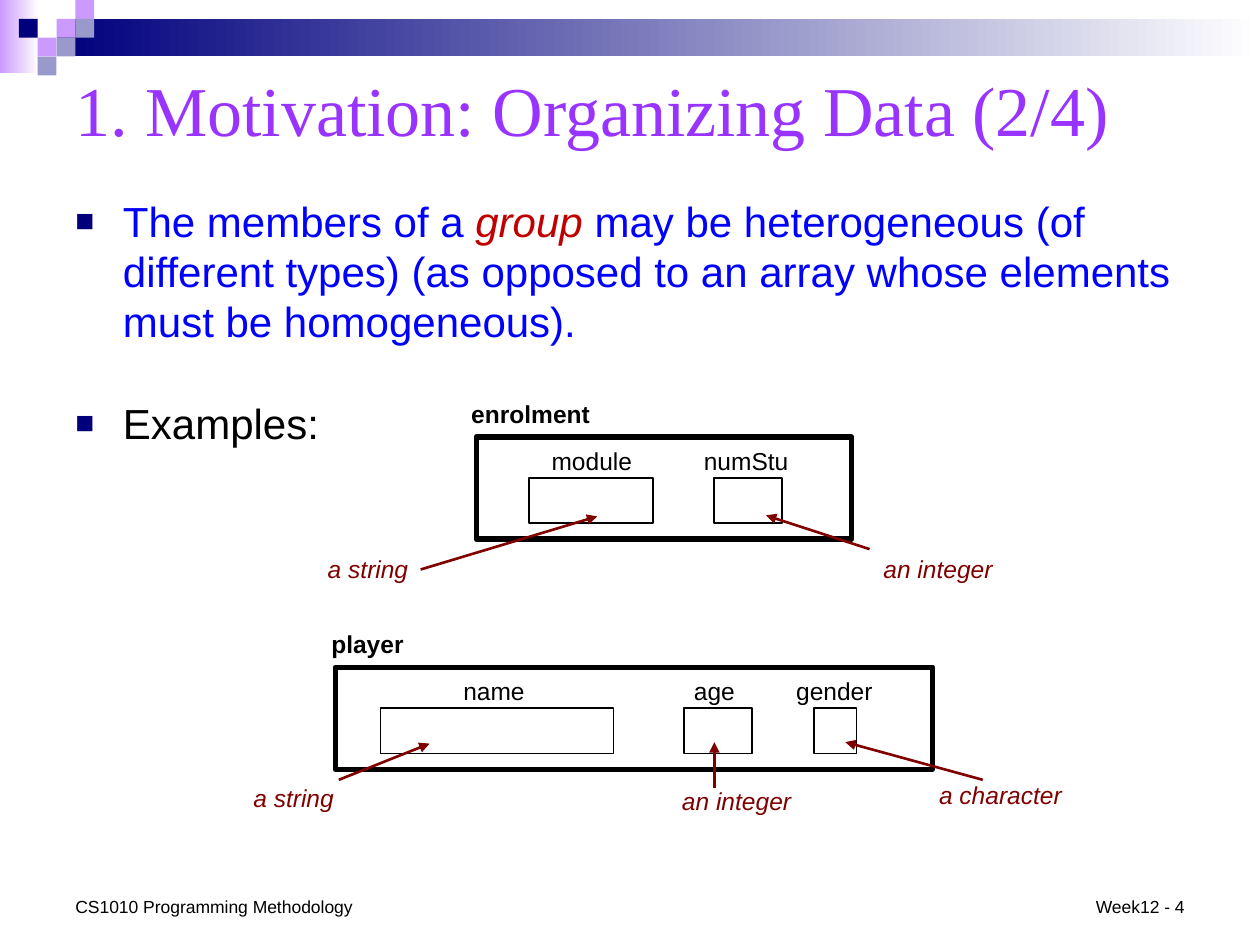
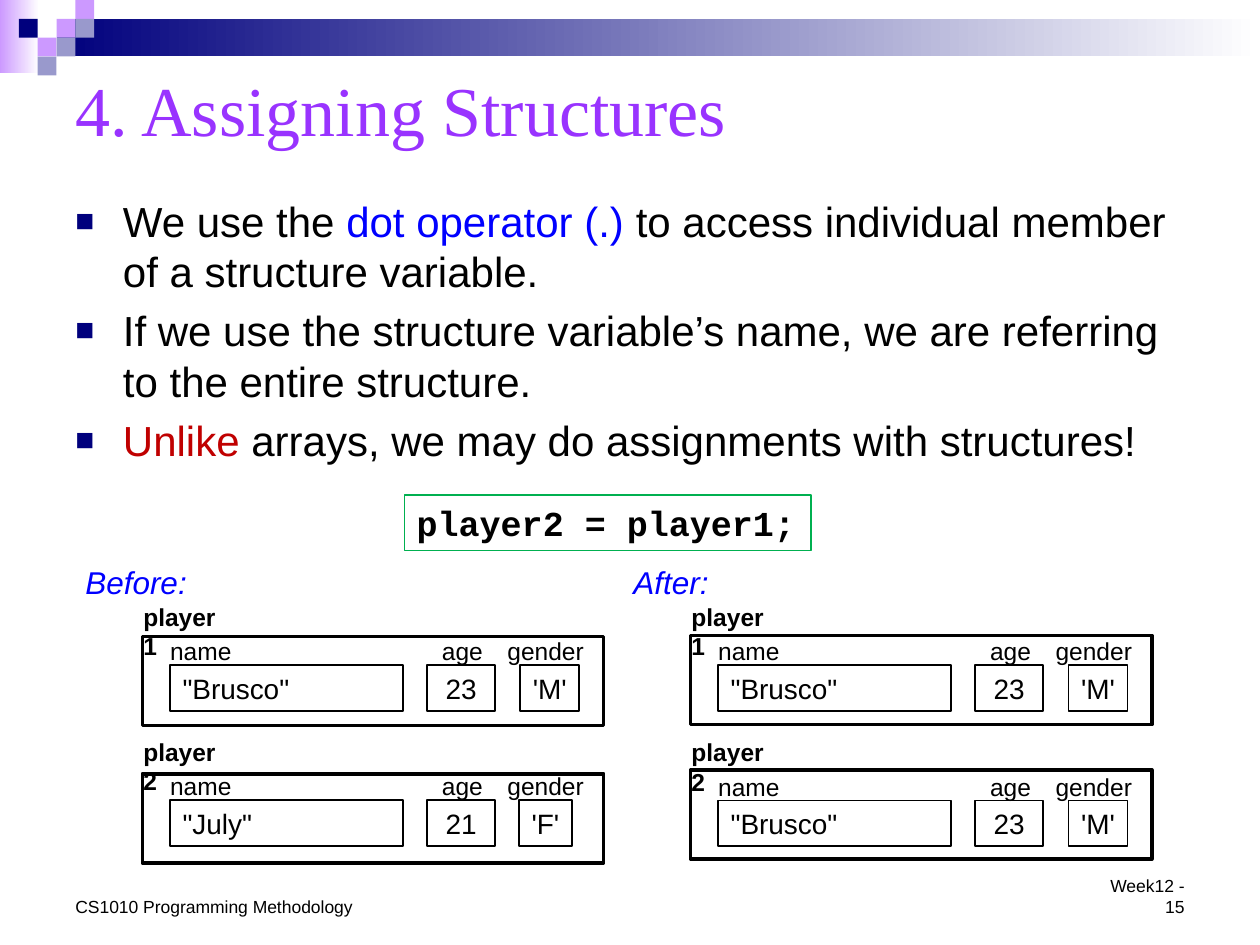
"""Build two lecture slides on grouping data into structures."""
from lxml import etree
from pptx import Presentation
from pptx.dml.color import RGBColor
from pptx.enum.shapes import MSO_CONNECTOR, MSO_SHAPE
from pptx.enum.text import MSO_ANCHOR, PP_ALIGN
from pptx.oxml.ns import qn
from pptx.util import Cm, Pt

RECT, STRAIGHT = MSO_SHAPE.RECTANGLE, MSO_CONNECTOR.STRAIGHT
LEFT, CENTER, RIGHT = PP_ALIGN.LEFT, PP_ALIGN.CENTER, PP_ALIGN.RIGHT
TOP, MIDDLE, BOTTOM = MSO_ANCHOR.TOP, MSO_ANCHOR.MIDDLE, MSO_ANCHOR.BOTTOM

BLACK, WHITE, BLUE, RED, MAROON = "000000", "FFFFFF", "0000FF", "C00000", "800000"
NAVY, LILAC, GREY_BLUE, PURPLE, GREEN = "00007D", "CC99FF", "9999CC", "9933FF", "00B050"

COURSE = "CS1010 Programming Methodology"
BANDS = [(0, 0, 0.79, 1.47, LILAC), (1.14, 0.38, 24.26, 0.76, NAVY)]
TILE = 0.38
TILES = [(3, 1, LILAC), (4, 0, LILAC), (4, 1, GREY_BLUE), (2, 2, LILAC),
         (1, 1, NAVY), (3, 2, GREY_BLUE), (2, 3, GREY_BLUE)]

MOTIVATION = [
    [("The members of a ", BLUE), ("group ", RED, True),
     ("may be heterogeneous (of different types) (as opposed to an array "
      "whose elements must be homogeneous).", BLUE)],
    [("Examples:", BLACK)],
]
ASSIGNING = [
    [("We use the ", BLACK), ("dot operator (.) ", BLUE),
     ("to access individual member of a structure variable.", BLACK)],
    [("If we use the structure variable’s name, we are referring to the entire structure.",
      BLACK)],
    [("Unlike ", RED), ("arrays, we may do assignments with structures!", BLACK)],
]

# member: label, label left, label width, box left, box width, value
EXAMPLES = [
    dict(title="enrolment", title_x=9.25, title_w=3.02, box_y=9.63, frame=(9.6, 7.57),
         members=[("module", 10.87, 2.15, 10.67, 2.49, ""),
                  ("numStu", 13.94, 2.39, 14.4, 1.37, "")]),
    dict(title="player", title_x=6.43, title_w=2.24, box_y=14.27, frame=(6.76, 12.04),
         members=[("name", 9.09, 1.76, 7.67, 4.7, ""),
                  ("age", 13.74, 1.36, 13.79, 1.37, ""),
                  ("gender", 15.8, 2.06, 16.41, 0.86, "")]),
]
# caption, left, top, width, arrow start, arrow end
CAPTIONS = [
    ("a string", 6.35, 11.05, 2.14, (8.48, 11.48), (12.04, 10.41)),
    ("an integer", 17.55, 11.05, 2.72, (17.53, 11.07), (15.44, 10.39)),
    ("a string", 4.85, 15.67, 2.14, (6.83, 15.72), (8.66, 14.99)),
    ("an integer", 13.49, 15.72, 2.72, (14.4, 15.88), (14.4, 14.96)),
    ("a character", 18.67, 15.6, 3.0, (19.81, 15.72), (17.04, 14.96)),
]

# variable, box top, frame rise, name, age, gender, gender box left and width
STATES = [
    ("Before:", 0, [("player1", 13.41, 0.58, '"Brusco"', "23", "'M'", 10.49, 1.19),
                    ("player2", 16.13, 0.53, '"July"', "21", "'F'", 10.46, 1.07)]),
    ("After:", 11.05, [("player1", 13.41, 0.6, '"Brusco"', "23", "'M'", 10.49, 1.19),
                       ("player2", 16.14, 0.62, '"Brusco"', "23", "'M'", 10.49, 1.19)]),
]


def rgb(color):
    """Turn a hex string into a colour."""
    return RGBColor.from_string(color)


def rect(s, x, y, w, h, fill=None, line=None, width=1.0, fade=False):
    """Draw a rectangle that is plain, outlined or fading to white."""
    sp = s.shapes.add_shape(RECT, Cm(x), Cm(y), Cm(w), Cm(h))
    sp.shadow.inherit = False
    if fade:
        sp.fill.gradient()
        sp.fill.gradient_angle = 0
        for stop, color in zip(sp.fill.gradient_stops, (fill, WHITE)):
            stop.color.rgb = rgb(color)
    elif fill:
        sp.fill.solid()
        sp.fill.fore_color.rgb = rgb(fill)
    else:
        sp.fill.background()
    if line:
        sp.line.color.rgb = rgb(line)
        sp.line.width = Pt(width)
    else:
        sp.line.fill.background()
    return sp


def add_bullet(p):
    """Give a paragraph a hanging square bullet."""
    pPr = p._p.get_or_add_pPr()
    pPr.set("marL", str(Cm(0.96)))
    pPr.set("indent", str(-Cm(0.96)))
    color = etree.SubElement(pPr, qn("a:buClr"))
    etree.SubElement(color, qn("a:srgbClr"), val=NAVY)
    etree.SubElement(pPr, qn("a:buSzPct"), val="75000")
    etree.SubElement(pPr, qn("a:buFont"), typeface="Arial")
    etree.SubElement(pPr, qn("a:buChar"), char="■")


def text(sp, content, size=14, color=BLACK, font="Arial", bold=False, italic=False,
         align=LEFT, anchor=TOP, wrap=True, bullet=False, gap=0):
    """Write a string, or paragraphs of (text, colour, italic) runs, in a shape."""
    paragraphs = [[(content, color, italic)]] if isinstance(content, str) else content
    tf = sp.text_frame
    tf.word_wrap, tf.vertical_anchor = wrap, anchor
    for i, runs in enumerate(paragraphs):
        p = tf.add_paragraph() if i else tf.paragraphs[0]
        if bullet:
            add_bullet(p)
        p.alignment = align
        if i and gap:
            p.space_before = Pt(gap)
        for words, run_color, *slant in runs:
            r = p.add_run()
            r.text = words
            r.font.name, r.font.size = font, Pt(size)
            r.font.bold, r.font.italic = bold, any(slant)
            r.font.color.rgb = rgb(run_color)


def label(s, content, x, y, w, h=0.86, **fmt):
    """Add a text box."""
    text(s.shapes.add_textbox(Cm(x), Cm(y), Cm(w), Cm(h)), content, **fmt)


def arrow(s, start, end):
    """Draw a maroon arrow."""
    c = s.shapes.add_connector(STRAIGHT, *(Cm(v) for v in start + end))
    c.line.color.rgb = rgb(MAROON)
    c.line.width = Pt(1.5)
    etree.SubElement(c.line._get_or_add_ln(), qn("a:tailEnd"), type="triangle")
    etree.SubElement(c._element.spPr, qn("a:effectLst"))


def record(s, title, title_x, title_w, box_y, frame, members, title_rise=1.72,
           frame_rise=0.82, label_rise=0.77, frame_h=2.06, frame_line=3):
    """Draw a structure variable: name, frame and labelled member boxes."""
    for name, label_x, label_w, box_x, box_w, value in members:
        sp = rect(s, box_x, box_y, box_w, 0.92, WHITE, BLACK)
        if value:
            is_name = name == "name"
            text(sp, value, size=16, align=LEFT if is_name else CENTER, wrap=is_name)
        label(s, name, label_x, box_y - label_rise, label_w)
    label(s, title, title_x, box_y - title_rise, title_w, bold=True)
    rect(s, frame[0], box_y - frame_rise, frame[1], frame_h, line=BLACK, width=frame_line)


def new_slide(prs, title, number, body, body_h, gap):
    """Add a slide with the shared bands, title, bullets and footer."""
    s = prs.slides.add_slide(prs.slide_layouts[6])
    for x, y, w, h, color in BANDS:
        rect(s, x, y, w, h, color, fade=True)
    for col, row, color in TILES:
        rect(s, col * TILE, row * TILE, TILE, TILE, color)
    label(s, title, 1.27, 1.07, 22.86, 2.24, size=40, color=PURPLE,
          font="Times New Roman", anchor=MIDDLE)
    label(s, body, 1.27, 3.81, 22.86, body_h, size=24, bullet=True, gap=gap)
    label(s, COURSE, 1.27, 17.93, 6.15, 0.69, size=10, anchor=BOTTOM)
    label(s, f"Week12 - {number}", 21.79, 17.93, 2.34, 0.69, size=10,
          align=RIGHT, anchor=BOTTOM)
    return s


def motivation_slide(prs):
    """Show two structures and the types of their members."""
    s = new_slide(prs, "1. Motivation: Organizing Data (2/4)", 4, MOTIVATION, 5.38, 29)
    for example in EXAMPLES:
        record(s, **example)
    for caption, x, y, w, start, end in CAPTIONS:
        arrow(s, start, end)
        label(s, caption, x, y, w, color=MAROON, italic=True, align=CENTER, wrap=False)


def assigning_slide(prs):
    """Show two structures before and after an assignment."""
    s = new_slide(prs, "4. Assigning Structures", 15, ASSIGNING, 5.79, 5)
    code = rect(s, 8.15, 9.98, 8.2, 1.12, WHITE, GREEN, 0.75)
    text(code, "player2 = player1;", size=20, font="Courier New", bold=True)
    for state, dx, players in STATES:
        label(s, state, 1.47 + dx, 11.23, 2.87, 1.02, size=18, color=BLUE, italic=True)
        for title, box_y, rise, name, age, gender, gender_x, gender_w in players:
            members = [("name", 3.18 + dx, 1.76, 3.43 + dx, 4.7, name),
                       ("age", 8.66 + dx, 1.36, 8.61 + dx, 1.37, age),
                       ("gender", 9.98 + dx, 2.06, gender_x + dx, gender_w, gender)]
            record(s, title, 2.64 + dx, 2.2, box_y, (2.87 + dx, 9.3), members,
                   title_rise=1.4, frame_rise=rise, label_rise=0.71,
                   frame_h=1.8, frame_line=2)


def main():
    """Build and save the presentation."""
    prs = Presentation()
    prs.slide_width, prs.slide_height = Cm(25.4), Cm(19.05)
    motivation_slide(prs)
    assigning_slide(prs)
    prs.save("out.pptx")


if __name__ == "__main__":
    main()
